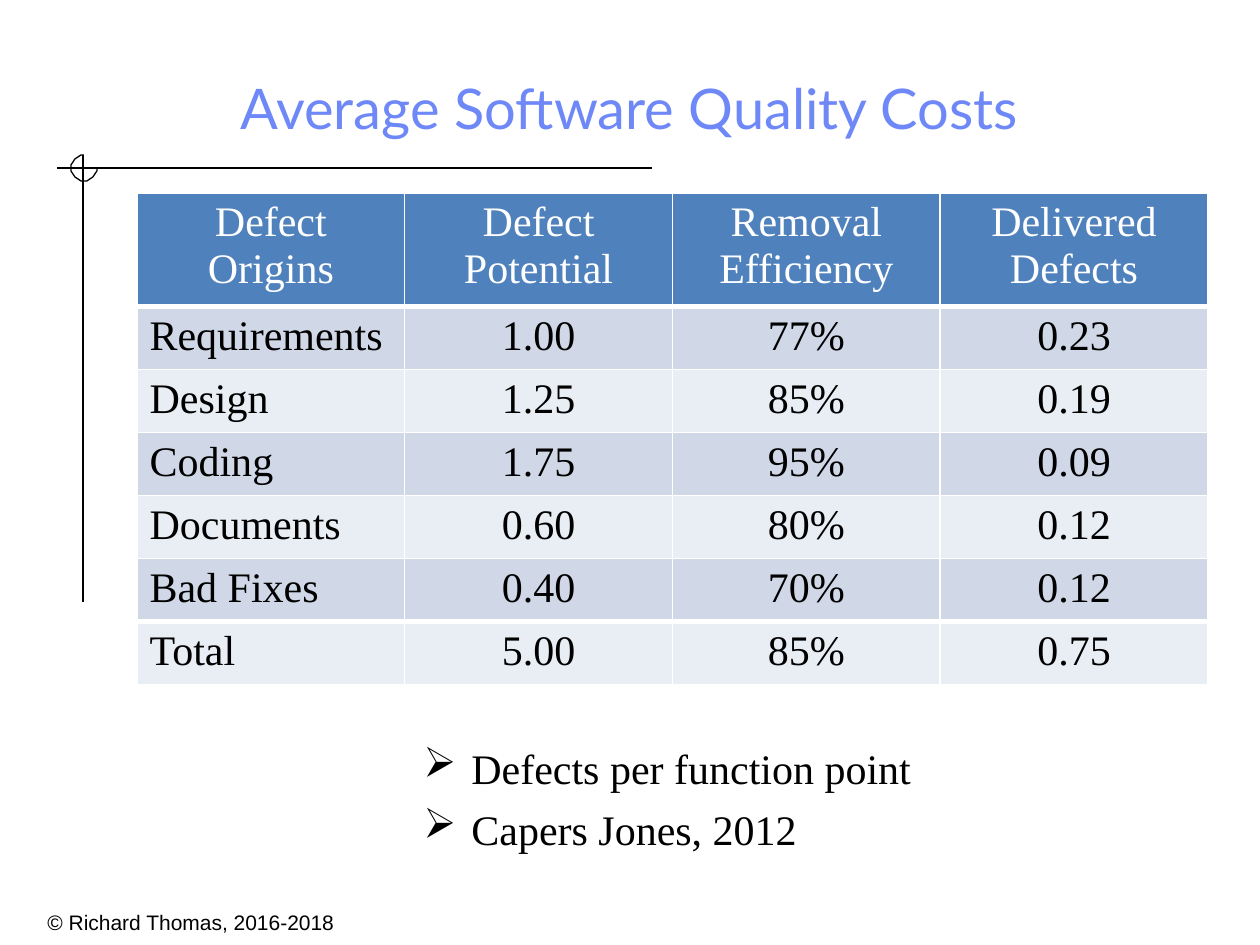
"""Builds the slide on average software quality costs."""
from math import cos, radians, sin

from lxml.etree import SubElement
from pptx import Presentation
from pptx.dml.color import RGBColor as Rgb
from pptx.enum.shapes import MSO_CONNECTOR as Connector
from pptx.enum.text import MSO_AUTO_SIZE as AutoSize, PP_ALIGN as Align
from pptx.oxml.ns import qn
from pptx.util import Emu, Pt

SCALE = 914400 / 126
COLORS = {
    "title": "6E88F7", "ink": "000000", "white": "FFFFFF",
    "header": "4F81BD", "odd": "D0D8E8", "even": "E9EDF4",
}
FORMATS = {
    "title": {"name": "Lato", "size": Pt(32)},
    "body": {"name": "Times New Roman", "size": Pt(24)},
    "footer": {"name": "Arial", "size": Pt(12)},
}


def px(*lengths):
    return [Emu(round(length * SCALE)) for length in lengths]


def write(paragraph, text, style, color, align=Align.LEFT):
    paragraph.alignment = align
    run = paragraph.add_run()
    run.text = text
    for attribute, value in FORMATS[style].items():
        setattr(run.font, attribute, value)
    run.font.color.rgb = Rgb.from_string(COLORS[color])


prs = Presentation()
prs.slide_width, prs.slide_height = px(1260, 945)
slide = prs.slides.add_slide(prs.slide_layouts[6])
shapes = slide.shapes

for ends in [(652, 168, 57, 168), (83, 155, 83, 602)]:
    rule = shapes.add_connector(Connector.STRAIGHT, *px(*ends))
    rule.line.color.rgb = Rgb.from_string(COLORS["ink"])
    rule.line.width = Pt(0.75)
    SubElement(rule._element.spPr, qn("a:effectLst"))

arc_points = [
    (84 + 13 * cos(radians(angle)), 168 + 13 * sin(radians(angle)))
    for angle in range(270, -1, -15)
]
outline = shapes.build_freeform(*arc_points[0], scale=SCALE)
outline.add_line_segments(arc_points[1:], close=False)
crosshair = outline.convert_to_shape()
crosshair.shadow.inherit = False
crosshair.fill.background()
crosshair.line.color.rgb = Rgb.from_string(COLORS["ink"])
crosshair.line.width = Pt(0.75)

footer = shapes.add_textbox(*px(35, 903, 318, 33)).text_frame
footer.word_wrap = True
write(footer.paragraphs[0], "© Richard Thomas, 2016-2018", "footer", "ink")

title = shapes.add_textbox(*px(16, 73, 1227, 68)).text_frame
title_format = {
    "margin_left": 0, "margin_top": 0, "margin_right": 0, "margin_bottom": 0,
    "word_wrap": True, "auto_size": AutoSize.SHAPE_TO_FIT_TEXT,
}
for attribute, value in title_format.items():
    setattr(title, attribute, value)
write(title.paragraphs[0], "Average Software Quality Costs", "title", "title", Align.CENTER)

defects = [
    ("Defect Origins", "Defect Potential", "Removal Efficiency", "Delivered Defects"),
    ("Requirements", "1.00", "77%", "0.23"),
    ("Design", "1.25", "85%", "0.19"),
    ("Coding", "1.75", "95%", "0.09"),
    ("Documents", "0.60", "80%", "0.12"),
    ("Bad Fixes", "0.40", "70%", "0.12"),
    ("Total", "5.00", "85%", "0.75"),
]
last = len(defects) - 1
costs = shapes.add_table(len(defects), 4, *px(137, 193, 1071, 491)).table
costs.horz_banding = False
for row, values in enumerate(defects):
    costs.rows[row].height = px(63 if row else 113)[0]
    band = ("odd" if row % 2 else "even") if row else "header"
    widths = {
        "L": 1, "R": 1,
        "T": 3 if row == last else 1,
        "B": 3 if row in (0, last - 1) else 1,
    }
    for column, value in enumerate(values):
        cell = costs.cell(row, column)
        for side, width in widths.items():
            border = SubElement(cell._tc.get_or_add_tcPr(), qn(f"a:ln{side}"), w=str(Pt(width)))
            border_fill = SubElement(border, qn("a:solidFill"))
            SubElement(border_fill, qn("a:srgbClr"), val=COLORS["white"])
        cell.fill.solid()
        cell.fill.fore_color.rgb = Rgb.from_string(COLORS[band])
        align = Align.LEFT if row and not column else Align.CENTER
        write(cell.text_frame.paragraphs[0], value, "body", "ink" if row else "white", align)
        cell.text_frame.paragraphs[0].runs[0].font.bold = False

notes = shapes.add_textbox(*px(411, 736, 523, 125)).text_frame
notes.word_wrap = False
notes.auto_size = AutoSize.SHAPE_TO_FIT_TEXT
indent = px(48)[0]
for index, note in enumerate(["Defects per function point", "Capers Jones, 2012"]):
    paragraph = notes.add_paragraph() if index else notes.paragraphs[0]
    paragraph.space_after = Pt(6)
    properties = paragraph._p.get_or_add_pPr()
    properties.set("marL", str(indent))
    properties.set("indent", str(-indent))
    SubElement(properties, qn("a:buChar"), char="➢")
    write(paragraph, note, "body", "ink")

prs.save("out.pptx")
